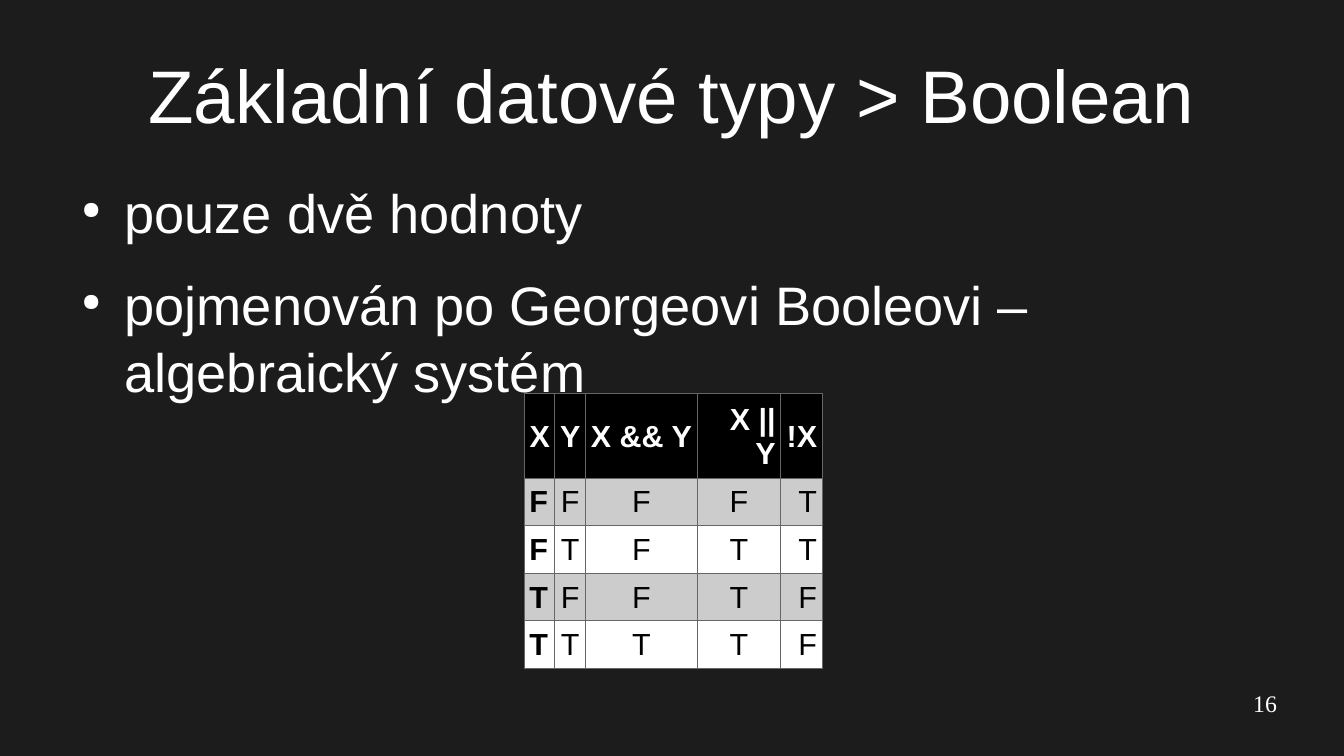
from lxml.etree import SubElement
from pptx import Presentation
from pptx.dml.color import RGBColor
from pptx.enum.text import MSO_ANCHOR as Anchor, PP_ALIGN as Align
from pptx.oxml.ns import qn
from pptx.util import Inches, Pt

WHITE, BLACK, GREY = "FFFFFF", "000000", "CCCCCC"
BACKGROUND, BORDER = "1C1C1C", "666666"

TRUTH_TABLE = [
    ["X", "Y", "X && Y", "X || Y", "!X"],
    ["F", "F", "F", "F", "T"],
    ["F", "T", "F", "T", "T"],
    ["T", "F", "F", "T", "F"],
    ["T", "T", "T", "T", "F"],
]
COLUMN_WIDTHS = [0.25, 0.25, 0.92, 0.68, 0.34]
HEADER_ALIGN = [Align.CENTER] * 3 + [Align.RIGHT] * 2
BODY_ALIGN = [Align.LEFT] + [Align.CENTER] * 3 + [Align.RIGHT]


def color(value):
    return RGBColor.from_string(value)


def set_values(target, values):
    for name, value in values.items():
        setattr(target, name, value)


def write(para, text, size, fill=WHITE, font="Arial", bold=False, **layout):
    span = para.add_run()
    span.text = text
    set_values(span.font, {"name": font, "size": Pt(size), "bold": bold})
    span.font.color.rgb = color(fill)
    set_values(para, layout)


def add_frame(page, box, anchor=Anchor.TOP):
    frame = page.shapes.add_textbox(*map(Inches, box)).text_frame
    set_values(frame, {
        "word_wrap": True, "vertical_anchor": anchor,
        "margin_left": 0, "margin_right": 0, "margin_top": 0, "margin_bottom": 0,
    })
    return frame


def add_bullet(para):
    props = para._p.get_or_add_pPr()
    props.set("marL", str(Inches(0.47)))
    props.set("indent", str(Inches(-0.35)))
    bullet_color = SubElement(props, qn("a:buClr"))
    SubElement(bullet_color, qn("a:srgbClr"), val=WHITE)
    SubElement(props, qn("a:buSzPct"), val="45000")
    SubElement(props, qn("a:buChar"), char="●")


def add_borders(cell):
    props = cell._tc.get_or_add_tcPr()
    for side in ("lnL", "lnR", "lnT", "lnB"):
        line = SubElement(props, qn(f"a:{side}"), w=str(Pt(0.57)))
        fill = SubElement(line, qn("a:solidFill"))
        SubElement(fill, qn("a:srgbClr"), val=BORDER)


def add_title(page, box, text):
    frame = add_frame(page, box, Anchor.MIDDLE)
    write(frame.paragraphs[0], text, 44, alignment=Align.CENTER)


def add_points(page, box, points):
    frame = add_frame(page, box)
    for index, text in enumerate(points):
        para = frame.add_paragraph() if index else frame.paragraphs[0]
        add_bullet(para)
        write(para, text, 32, line_spacing=1.04,
              space_before=Pt(14.2 if index else 0))


def add_truth_table(page, box):
    rows, columns = len(TRUTH_TABLE), len(COLUMN_WIDTHS)
    table = page.shapes.add_table(rows, columns, *map(Inches, box)).table
    for column, width in zip(table.columns, COLUMN_WIDTHS):
        column.width = Inches(width)
    for r, values in enumerate(TRUTH_TABLE):
        header = r == 0
        table.rows[r].height = Inches(0.66 if header else 0.38)
        background = BLACK if header else GREY if r % 2 else WHITE
        for c, text in enumerate(values):
            cell = table.cell(r, c)
            set_values(cell, {
                "vertical_anchor": Anchor.MIDDLE,
                "margin_left": Inches(0.04), "margin_right": Inches(0.04),
                "margin_top": Inches(0.05), "margin_bottom": Inches(0.04),
            })
            add_borders(cell)
            cell.fill.solid()
            cell.fill.fore_color.rgb = color(background)
            write(cell.text_frame.paragraphs[0], text, 18,
                  fill=WHITE if header else BLACK, bold=header or c == 0,
                  alignment=(HEADER_ALIGN if header else BODY_ALIGN)[c])


def add_page_number(page, box, number):
    frame = add_frame(page, box)
    write(frame.paragraphs[0], number, 14, font="Times New Roman",
          alignment=Align.RIGHT)


def main():
    deck = Presentation()
    set_values(deck, {"slide_width": Inches(11.02), "slide_height": Inches(6.2)})
    page = deck.slides.add_slide(deck.slide_layouts[6])
    page.background.fill.solid()
    page.background.fill.fore_color.rgb = color(BACKGROUND)

    # Heading and bullet points
    add_title(page, (0.55, 0.25, 9.92, 1.04), "Základní datové typy > Boolean")
    add_points(page, (0.55, 1.45, 9.92, 3.6), [
        "pouze dvě hodnoty",
        "pojmenován po Georgeovi Booleovi – algebraický systém",
    ])

    # Truth table and page number
    add_truth_table(page, (4.3, 3.23, sum(COLUMN_WIDTHS), 2.18))
    add_page_number(page, (7.9, 5.65, 2.57, 0.43), "16")
    deck.save("out.pptx")


if __name__ == "__main__":
    main()
